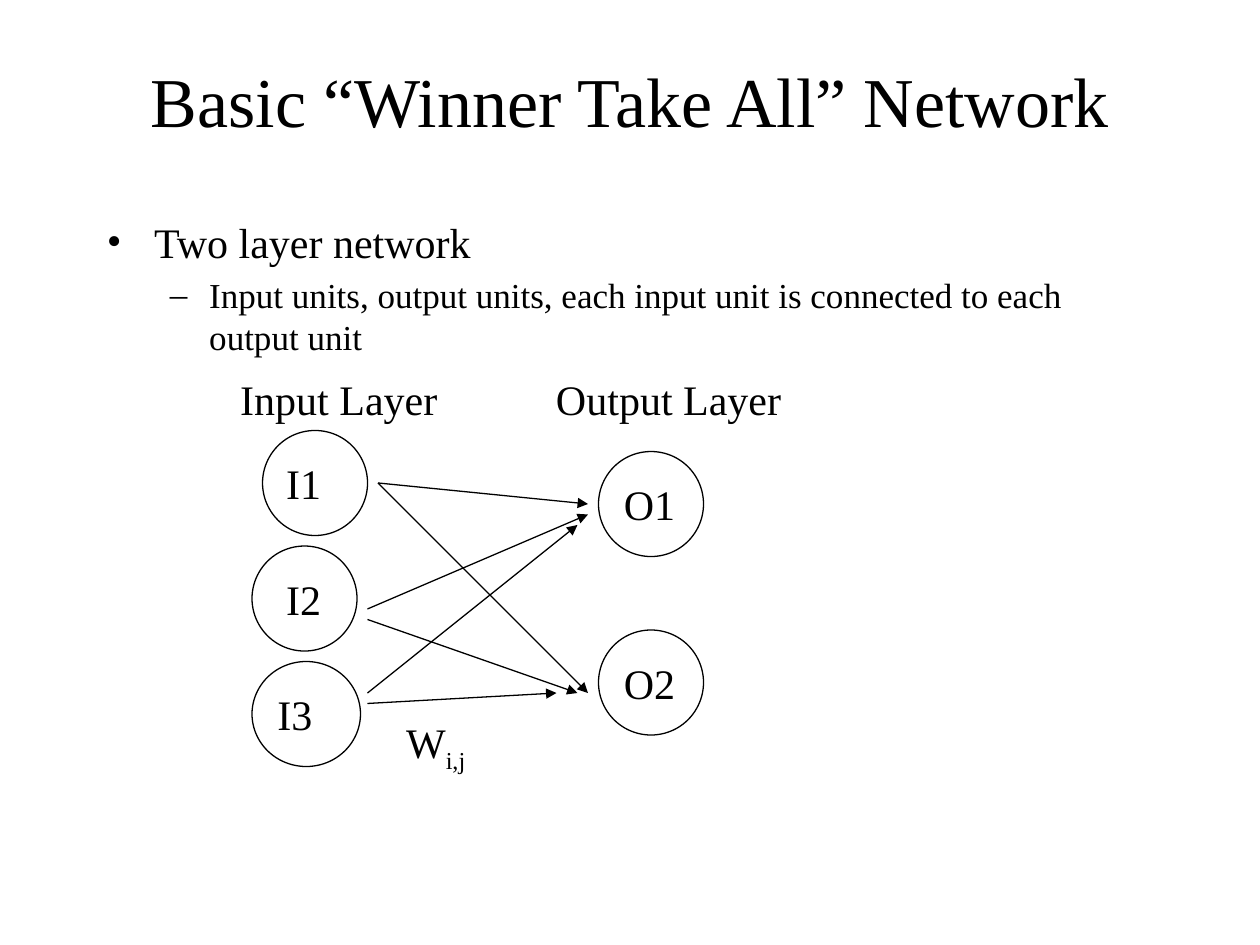
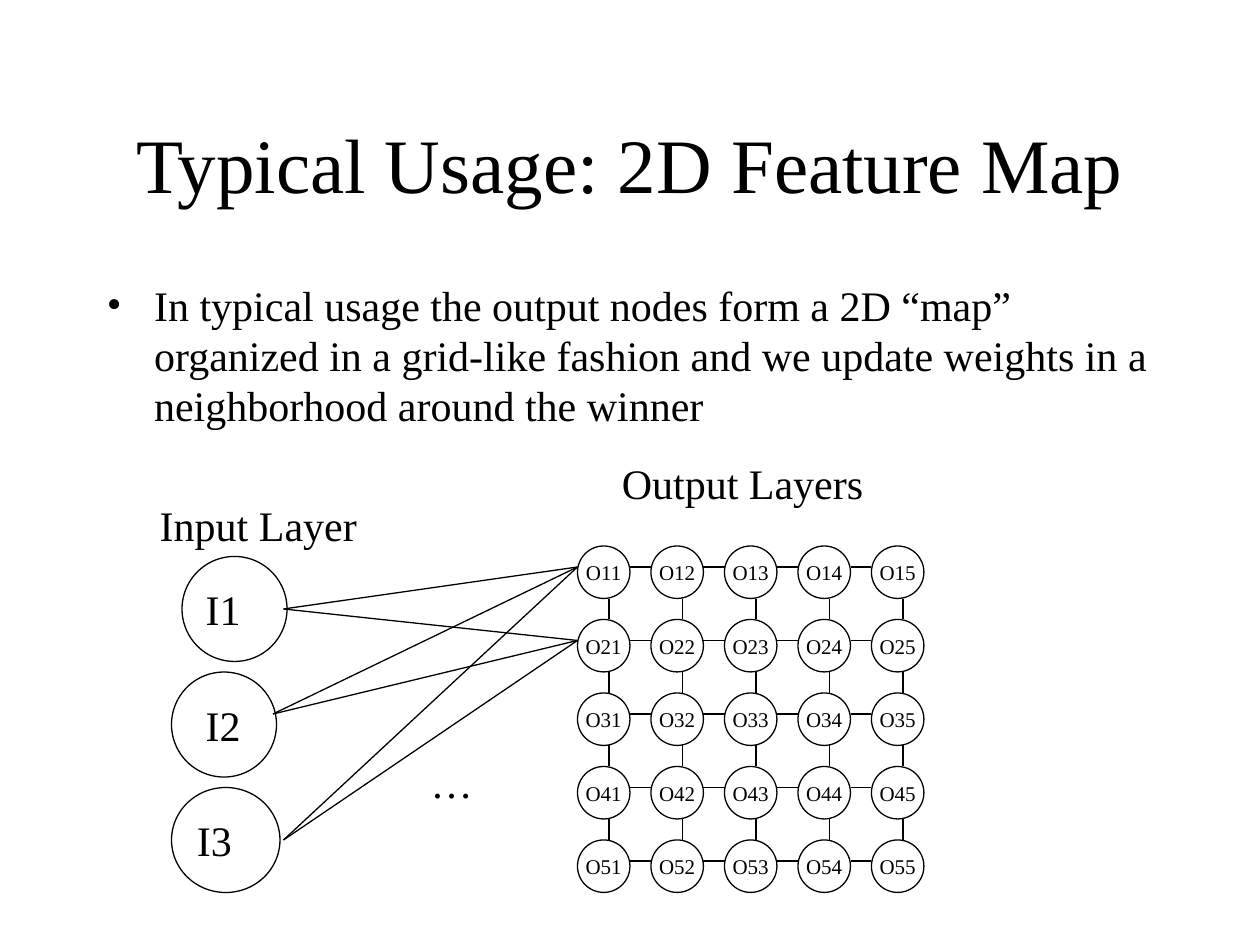
from dataclasses import dataclass
from itertools import product

from lxml import etree
from pptx import Presentation
from pptx.dml.color import RGBColor
from pptx.enum.shapes import MSO_CONNECTOR, MSO_SHAPE
from pptx.enum.text import MSO_ANCHOR, MSO_AUTO_SIZE, PP_ALIGN
from pptx.oxml.ns import qn
from pptx.util import Pt

ELLIPSE = MSO_SHAPE.OVAL
STRAIGHT = MSO_CONNECTOR.STRAIGHT
MIDDLE, TOP = MSO_ANCHOR.MIDDLE, MSO_ANCHOR.TOP
CENTER, LEFT = PP_ALIGN.CENTER, PP_ALIGN.LEFT
FIT_SHAPE, NO_FIT = MSO_AUTO_SIZE.SHAPE_TO_FIT_TEXT, MSO_AUTO_SIZE.NONE


@dataclass(frozen=True)
class Theme:
    """Colours, font and sizes shared by the slides."""
    font: str = "Times New Roman"
    ink: RGBColor = RGBColor(0, 0, 0)
    paper: RGBColor = RGBColor(255, 255, 255)
    body: float = 24
    detail: float = 20
    small: float = 12
    line: float = 0.75


THEME = Theme()
BULLETS = (("•", 27, -27, THEME.body), ("–", 58.5, -22.5, THEME.detail))
NODE, NODE_PITCH = 60, 66
GRID_NODE, GRID_PITCH, GRID_COUNT = 30, 42, 5


def style_text(para, size, align=CENTER):
    """Apply the theme font to every run of a paragraph."""
    para.alignment = align
    for span in para.runs:
        span.font.name = THEME.font
        span.font.size = Pt(size)
        span.font.color.rgb = THEME.ink


def add_title(page, text, top, size):
    """Place and format the title placeholder."""
    title = page.shapes.title
    title.left, title.top, title.width, title.height = Pt(54), Pt(top), Pt(612), Pt(90)
    frame = title.text_frame
    frame.text = text
    frame.vertical_anchor = MIDDLE
    frame.auto_size = NO_FIT
    style_text(frame.paragraphs[0], size)


def add_bullets(page, items, top):
    """Write (level, text) items as a bulleted list."""
    box = page.shapes.add_textbox(Pt(54), Pt(top), Pt(612), Pt(324))
    frame = box.text_frame
    frame.word_wrap = True
    for index, (level, text) in enumerate(items):
        para = frame.add_paragraph() if index else frame.paragraphs[0]
        mark, margin, indent, size = BULLETS[level]
        para.text = text
        para.level = level
        para.space_before = Pt(size * 0.2)
        style_text(para, size, LEFT)
        properties = para._p.get_or_add_pPr()
        properties.set("marL", str(Pt(margin)))
        properties.set("indent", str(Pt(indent)))
        etree.SubElement(properties, qn("a:buFont")).set("typeface", THEME.font)
        etree.SubElement(properties, qn("a:buChar")).set("char", mark)


def add_label(page, text, left, top, width, height=36, anchor=MIDDLE, align=CENTER):
    """Add a one-line label and return its paragraph."""
    box = page.shapes.add_textbox(Pt(left), Pt(top), Pt(width), Pt(height))
    frame = box.text_frame
    frame.text = text
    frame.word_wrap = False
    frame.auto_size = FIT_SHAPE
    frame.vertical_anchor = anchor
    style_text(frame.paragraphs[0], THEME.body, align)
    return frame.paragraphs[0]


def add_node(page, left, top, width=NODE, height=NODE):
    """Add an outlined circle for one unit."""
    node = page.shapes.add_shape(ELLIPSE, Pt(left), Pt(top), Pt(width), Pt(height))
    node.shadow.inherit = False
    node.fill.solid()
    node.fill.fore_color.rgb = THEME.paper
    node.line.color.rgb = THEME.ink
    node.line.width = Pt(THEME.line)
    return node


def add_link(page, start, end, arrow=False):
    """Draw a straight link between two points."""
    link = page.shapes.add_connector(STRAIGHT, *(Pt(value) for value in (*start, *end)))
    link.line.color.rgb = THEME.ink
    link.line.width = Pt(THEME.line)
    if arrow:
        etree.SubElement(link.line._get_or_add_ln(), qn("a:tailEnd")).set("type", "triangle")
    etree.SubElement(link._element.spPr, qn("a:effectLst"))


def add_input_layer(page, left, top):
    """Draw the caption and the three input units."""
    add_label(page, "Input Layer", left - 15.4, top, 130)
    units = (("I1", 6, 12.2, 60), ("I2", 0, 12.2, 60), ("I3", 0, 7.2, 62))
    for row, (name, node_shift, label_shift, width) in enumerate(units):
        node_top = top + 36 + row * NODE_PITCH
        add_node(page, left + node_shift, node_top, width)
        add_label(page, name, left + label_shift, node_top + 12, 34.6)


def add_two_layer_network(page, left, top):
    """Draw three inputs joined by arrows to two outputs."""
    add_input_layer(page, left, top)
    add_label(page, "Output Layer", left + 165, top, 146)
    for name, shift in (("O1", 48), ("O2", 150)):
        add_node(page, left + 198, top + shift)
        add_label(page, name, left + 205.2, top + shift + 12, 43.9)
    arrows = (
        ((72, 66), (192, 78)), ((72, 66), (192, 186)),
        ((66, 138), (192, 84)), ((66, 144), (186, 186)),
        ((66, 186), (186, 90)), ((66, 192), (174, 186)),
    )
    for (start_x, start_y), (end_x, end_y) in arrows:
        add_link(page, (left + start_x, top + start_y), (left + end_x, top + end_y), arrow=True)
    weight = add_label(page, "W", left + 78, top + 198, 54)
    subscript = weight.add_run()
    subscript.text = "i,j"
    style_text(weight, THEME.body)
    subscript.font._element.set("baseline", "-25000")


def add_output_grid(page, left, top):
    """Draw the square grid of linked output units."""
    for row, column in product(range(GRID_COUNT), repeat=2):
        x, y = left + column * GRID_PITCH, top + row * GRID_PITCH
        frame = add_node(page, x, y, GRID_NODE, GRID_NODE).text_frame
        frame.text = f"O{row + 1}{column + 1}"
        frame.word_wrap = False
        frame.vertical_anchor = MIDDLE
        style_text(frame.paragraphs[0], THEME.small)
        if column < GRID_COUNT - 1:
            add_link(page, (x + GRID_NODE, y + 12), (x + GRID_PITCH, y + 12))
        if row < GRID_COUNT - 1:
            add_link(page, (x + 18, y + GRID_NODE), (x + 18, y + GRID_PITCH))


def add_feature_map(page, left, top):
    """Draw three inputs linked to the first units of the output grid."""
    grid_left, grid_top = left + 232, top + 54
    add_input_layer(page, left, top + 24)
    add_label(page, "Output Layers", left + 249, top, 154.6)
    add_output_grid(page, grid_left, grid_top)
    for row, (x, y) in product(range(2), ((64, 90), (58, 150), (64, 222))):
        end = (grid_left, grid_top + 12 + row * GRID_PITCH)
        add_link(page, (left + x, top + y), end)
    add_label(page, "…", left + 141, top + 171, 38.2, 64.8, TOP, LEFT)


def build_network_slide(page):
    """Build the slide on the basic network."""
    add_title(page, "Basic “Winner Take All” Network", 12, 40)
    add_bullets(page, (
        (0, "Two layer network"),
        (1, "Input units, output units, each input unit is connected to each output unit"),
    ), 120)
    add_two_layer_network(page, 144, 210)


def build_map_slide(page):
    """Build the slide on the feature map."""
    add_title(page, "Typical Usage: 2D Feature Map", 48, 44)
    add_bullets(page, (
        (0, "In typical usage the output nodes form a 2D “map” organized in a grid-like "
            "fashion and we update weights in a neighborhood around the winner"),
    ), 156)
    add_feature_map(page, 98, 258)


def main():
    """Build and save the deck."""
    deck = Presentation()
    deck.slide_width, deck.slide_height = Pt(720), Pt(540)
    for build in (build_network_slide, build_map_slide):
        build(deck.slides.add_slide(deck.slide_layouts[5]))
    deck.save("out.pptx")


main()
